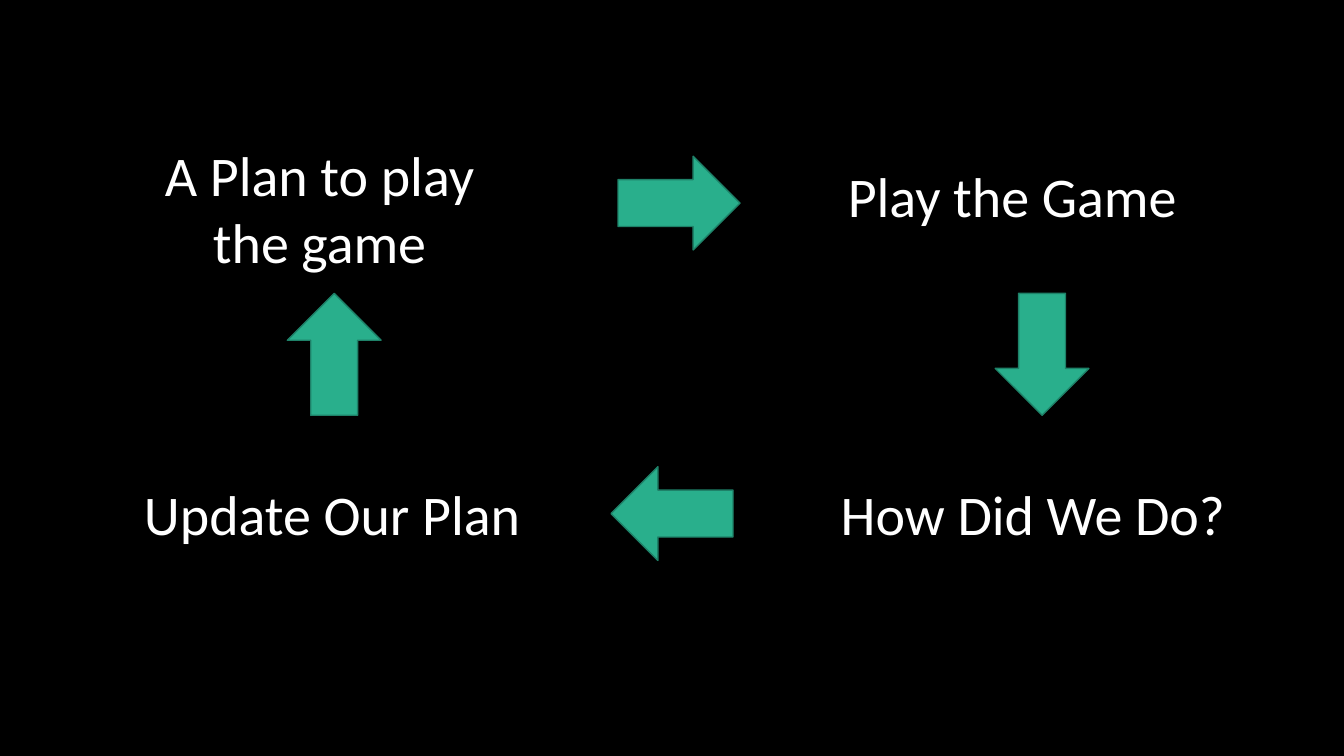
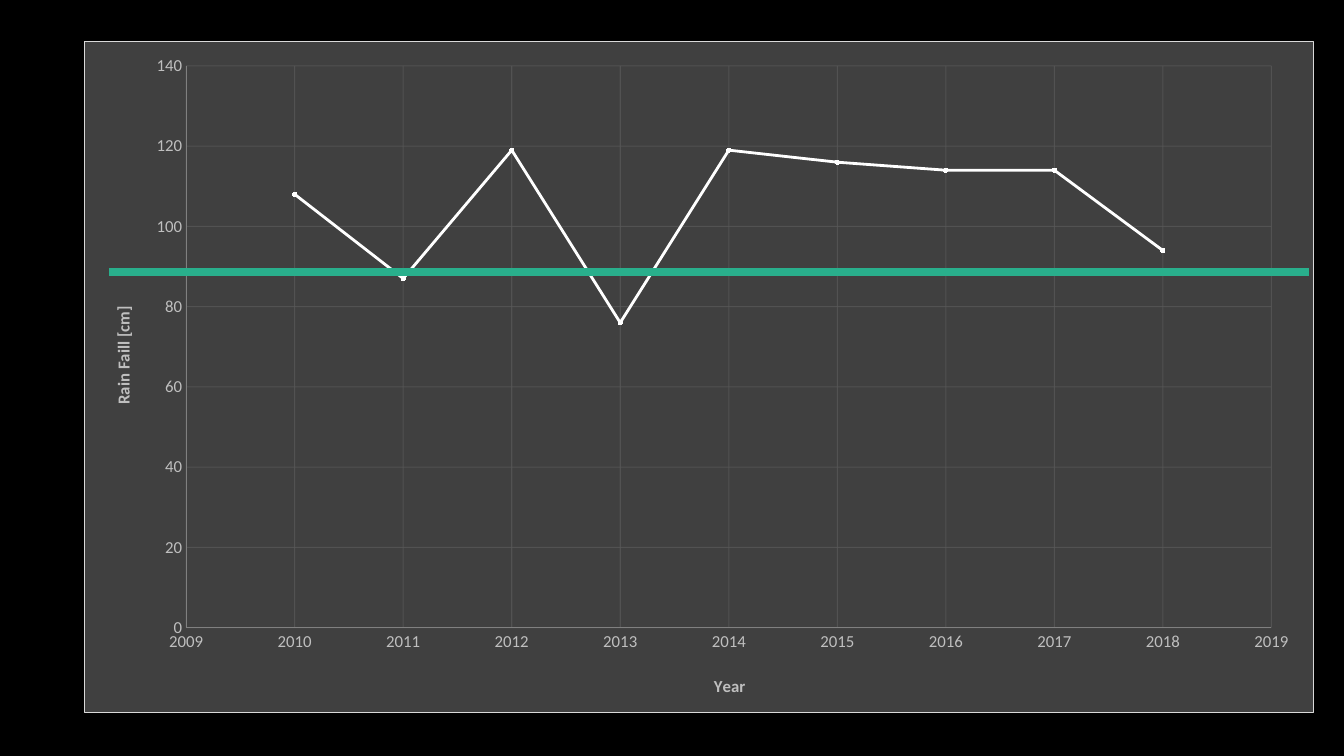
from lxml.etree import SubElement
from pptx import Presentation
from pptx.chart.data import XyChartData
from pptx.dml.color import RGBColor
from pptx.enum.chart import XL_CHART_TYPE, XL_MARKER_STYLE, XL_TICK_MARK
from pptx.enum.shapes import MSO_CONNECTOR, MSO_SHAPE
from pptx.enum.text import MSO_AUTO_SIZE, PP_ALIGN
from pptx.oxml import parse_xml
from pptx.oxml.ns import nsdecls, qn
from pptx.util import Inches, Pt

BLACK = RGBColor(0x00, 0x00, 0x00)
WHITE = RGBColor(0xFF, 0xFF, 0xFF)
GREEN = RGBColor(0x29, 0xAF, 0x8C)
EDGE = RGBColor(0x1E, 0x81, 0x68)
PANEL = RGBColor(0x40, 0x40, 0x40)
FRAME = RGBColor(0xD9, 0xD9, 0xD9)
GRID = RGBColor(0x59, 0x59, 0x59)
AXIS = RGBColor(0x80, 0x80, 0x80)
LABEL = RGBColor(0xBF, 0xBF, 0xBF)

FONT = "Calibri"
STEP = {"size": Pt(40), "name": FONT}
TICK = {"size": Pt(12), "name": FONT, "bold": False}
HEAD = {**TICK, "bold": True}

STEPS = [
    ("A Plan to play the game", 0, 0, 3.8, 1.45, True),
    ("Play the Game", 7.04, 0.21, 3.49, 0.77, False),
    ("How Did We Do?", 6.97, 3.37, 4.05, 0.77, False),
    ("Update Our Plan", 0.06, 3.37, 3.97, 0.77, False),
]
ARROWS = [(4.86, 0.21), (8.46, 1.71), (4.79, 3.29), (1.44, 1.71)]
RAIN = [94, 114, 114, 116, 119, 76, 119, 87, 108]


def style(font, form, color):
    for key, value in form.items():
        setattr(font, key, value)
    font.color.rgb = color


def stroke(line, color, width):
    line.color.rgb = color
    line.width = Pt(width)


def new_slide(deck):
    slide = deck.slides.add_slide(deck.slide_layouts[6])
    slide.background.fill.solid()
    slide.background.fill.fore_color.rgb = BLACK
    return slide


def add_step(slide, text, left, top, width, height, wrap):
    box = slide.shapes.add_textbox(
        Inches(left), Inches(top), Inches(width), Inches(height))
    frame = box.text_frame
    frame.word_wrap = wrap
    frame.auto_size = MSO_AUTO_SIZE.SHAPE_TO_FIT_TEXT
    para = frame.paragraphs[0]
    para.alignment = PP_ALIGN.CENTER if wrap else PP_ALIGN.LEFT
    run = para.add_run()
    run.text = text
    style(run.font, STEP, WHITE)


def add_arrow(slide, left, top, turn):
    arrow = slide.shapes.add_shape(
        MSO_SHAPE.RIGHT_ARROW, Inches(left), Inches(top), Inches(1.21), Inches(0.93))
    arrow.rotation = turn
    arrow.shadow.inherit = False
    arrow.fill.solid()
    arrow.fill.fore_color.rgb = GREEN
    stroke(arrow.line, EDGE, 1)


def add_cycle(slide, left, top):
    for text, x, y, width, height, wrap in STEPS:
        add_step(slide, text, left + x, top + y, width, height, wrap)
    for index, (x, y) in enumerate(ARROWS):
        add_arrow(slide, left + x, top + y, 90 * index)


def set_place(node, index, **sizes):
    for old in node.findall(qn("c:layout")):
        node.remove(old)
    layout = parse_xml(f'<c:layout {nsdecls("c")}><c:manualLayout/></c:layout>')
    manual = layout[0]
    if "w" in sizes:
        SubElement(manual, qn("c:layoutTarget"), val="inner")
    for key in ("x", "y"):
        SubElement(manual, qn(f"c:{key}Mode"), val="edge")
    for key, value in sizes.items():
        SubElement(manual, qn(f"c:{key}"), val=str(value))
    node.insert(index, layout)


def set_axis(axis, text, low, high, unit, x, y):
    form = {
        "minimum_scale": low, "maximum_scale": high, "major_unit": unit,
        "has_major_gridlines": True, "major_tick_mark": XL_TICK_MARK.NONE,
        "minor_tick_mark": XL_TICK_MARK.NONE,
    }
    for key, value in form.items():
        setattr(axis, key, value)
    stroke(axis.format.line, AXIS, 0.75)
    grid = axis.major_gridlines.format.line
    stroke(grid, GRID, 0.75)
    for color in axis.major_gridlines.format.line.fill._xPr.iter(qn("a:srgbClr")):
        SubElement(color, qn("a:alpha"), val="75000")
    style(axis.tick_labels.font, TICK, LABEL)
    title = axis.axis_title
    run = title.text_frame.paragraphs[0].add_run()
    run.text = text
    style(run.font, HEAD, LABEL)
    set_place(title.element, 1, x=x, y=y)


def add_panel(chart):
    panel = parse_xml(
        f'<c:spPr {nsdecls("c", "a")}>'
        f'<a:solidFill><a:srgbClr val="{PANEL}"/></a:solidFill>'
        f'<a:ln w="{Pt(0.75)}"><a:solidFill><a:srgbClr val="{FRAME}"/></a:solidFill></a:ln>'
        '</c:spPr>')
    chart.element.find(qn("c:chart")).addnext(panel)


def add_rain(slide, left, top, width, height):
    data = XyChartData()
    series = data.add_series("Series 1")
    for index, value in enumerate(RAIN):
        series.add_data_point(2018 - index, value)
    chart = slide.shapes.add_chart(
        XL_CHART_TYPE.XY_SCATTER_LINES, Inches(left), Inches(top),
        Inches(width), Inches(height), data).chart
    chart.has_legend = False
    chart.has_title = False
    style(chart.font, {"size": Pt(10), "name": FONT}, WHITE)
    add_panel(chart)
    set_axis(chart.category_axis, "Year", 2009, 2019, 1, 0.51, 0.94)
    set_axis(chart.value_axis, "Rain Faill [cm]", 0, 140, 20, 0.02, 0.39)
    for body in chart.value_axis.axis_title.element.iter(qn("a:bodyPr")):
        body.set("rot", "-5400000")
        body.set("vert", "horz")
    area = chart.element.find(qn("c:chart")).find(qn("c:plotArea"))
    set_place(area, 0, x=0.083, y=0.036, w=0.883, h=0.838)
    chart.plots[0].vary_by_categories = False
    line = chart.plots[0].series[0]
    line.smooth = False
    stroke(line.format.line, WHITE, 2)
    mark = line.marker
    mark.style = XL_MARKER_STYLE.CIRCLE
    mark.size = 3
    mark.format.fill.solid()
    mark.format.fill.fore_color.rgb = WHITE
    stroke(mark.format.line, WHITE, 0.75)
    add_mean(slide, left + 0.25, top + 2.29, 11.9)


def add_mean(slide, left, top, width):
    line = slide.shapes.add_connector(
        MSO_CONNECTOR.STRAIGHT, Inches(left), Inches(top),
        Inches(left + width), Inches(top))
    stroke(line.line, GREEN, 6)
    SubElement(line.element.spPr, qn("a:effectLst"))


def main():
    deck = Presentation()
    deck.slide_width = Inches(13.33)
    deck.slide_height = Inches(7.5)
    add_cycle(new_slide(deck), 1.27, 1.34)
    add_rain(new_slide(deck), 0.83, 0.41, 12.2, 6.66)
    deck.save("out.pptx")


if __name__ == "__main__":
    main()
